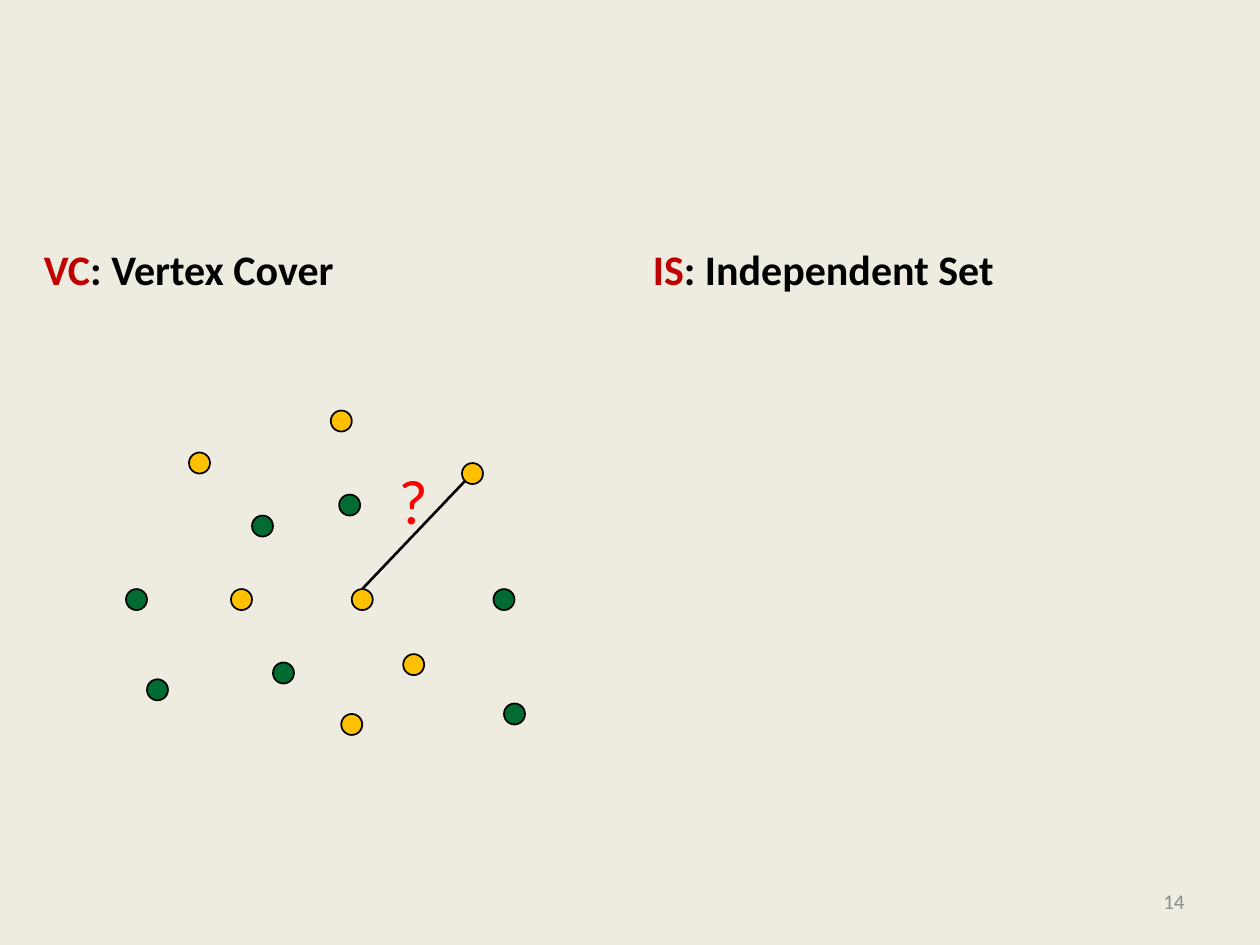
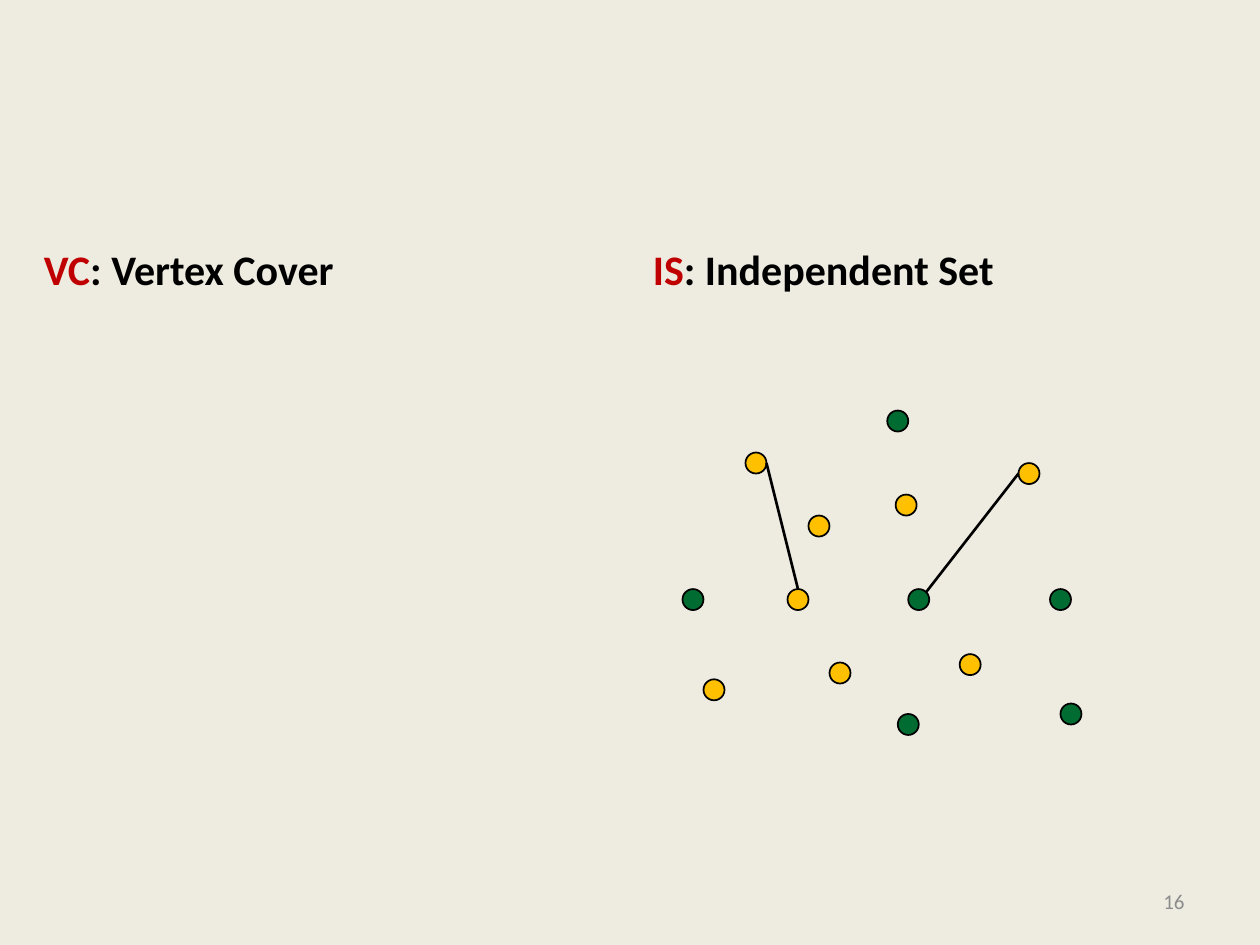
import math
from dataclasses import dataclass

import pptx
import pptx.dml.color
import pptx.enum.shapes
import pptx.enum.text
import pptx.oxml.ns
import pptx.util
from lxml import etree

Align = pptx.enum.text.PP_ALIGN
Anchor = pptx.enum.text.MSO_ANCHOR
ShapeKind = pptx.enum.shapes.MSO_SHAPE


@dataclass(frozen=True)
class Theme:
    font: str = "Calibri"
    background: str = "EEECE1"
    ink: str = "000000"
    accent: str = "C00000"
    question: str = "FF0000"
    muted: str = "8C8C8C"
    green: str = "006C31"
    yellow: str = "FFC000"
    heading_size: int = 24
    question_size: int = 36
    number_size: int = 12
    outline_width: float = 1
    edge_width: float = 1.5


# Grid: twelve columns and twelve rows to the inch
COLUMNS, ROWS = 120, 90
RADIUS = 1
SET_SHIFT = 53  # columns from the left graph to the right graph

# Node centres (column, row) of the graph in its left position
NODES = {
    "top": (32.5, 40.1),
    "upper left": (19, 44.1),
    "upper right": (45, 45.1),
    "upper middle": (33.3, 48.1),
    "inner left": (25, 50.1),
    "far left": (13, 57.1),
    "left": (23, 57.1),
    "centre": (34.5, 57.1),
    "right": (48, 57.1),
    "lower right": (39.4, 63.3),
    "lower middle": (27, 64.1),
    "lower left": (15, 65.7),
    "corner": (49, 68),
    "bottom": (33.5, 69),
}

# Directions, in degrees, in which an edge leaves a node
EAST, NORTH_EAST, NORTH, WEST, SOUTH_WEST = 0, 45, 90, 180, 225


def rgb(value):
    return pptx.dml.color.RGBColor.from_string(value)


def add_text(para, text, *, font, size, color, bold=False):
    """Append formatted text to a paragraph."""
    span = para.add_run()
    span.text = text
    span.font.name = font
    span.font.size = pptx.util.Pt(size)
    span.font.bold = bold
    span.font.color.rgb = rgb(color)


class Builder:
    def __init__(self, deck, theme):
        self.deck = deck
        self.theme = theme
        self.page = None

    def x(self, columns):
        return round(self.deck.slide_width * columns / COLUMNS)

    def y(self, rows):
        return round(self.deck.slide_height * rows / ROWS)

    def area(self, left, top, width, height):
        return self.x(left), self.y(top), self.x(width), self.y(height)

    def new_page(self, number):
        """Start a page with the shared background, headings and number."""
        theme = self.theme
        self.page = self.deck.slides.add_slide(self.deck.slide_layouts[6])
        fill = self.page.background.fill
        fill.solid()
        fill.fore_color.rgb = rgb(theme.background)
        self.heading(3, "VC", ": Vertex Cover")
        self.heading(61, "IS", ": Independent Set")
        self.text((86, 83.4, 28, 4.8), [(str(number), theme.muted)],
                  theme.number_size, align=Align.RIGHT, anchor=Anchor.MIDDLE)

    def text(self, place, parts, size, *, bold=False, wrap=True,
             align=Align.LEFT, anchor=Anchor.TOP):
        box = self.page.shapes.add_textbox(*self.area(*place))
        frame = box.text_frame
        frame.word_wrap = wrap
        frame.vertical_anchor = anchor
        para = frame.paragraphs[0]
        para.alignment = align
        for words, color in parts:
            add_text(para, words, font=self.theme.font, size=size,
                     color=color, bold=bold)

    def heading(self, left, short, name):
        self.text((left, 20.2, 53, 8.4),
                  [(short, self.theme.accent), (name, self.theme.ink)],
                  self.theme.heading_size, bold=True, anchor=Anchor.BOTTOM)

    def node(self, column, row, color):
        dot = self.page.shapes.add_shape(
            ShapeKind.OVAL,
            *self.area(column - RADIUS, row - RADIUS, 2 * RADIUS, 2 * RADIUS))
        dot.shadow.inherit = False
        dot.fill.solid()
        dot.fill.fore_color.rgb = rgb(color)
        dot.line.color.rgb = rgb(self.theme.ink)
        dot.line.width = pptx.util.Pt(self.theme.outline_width)

    def graph(self, yellow_nodes, shift=0):
        for name, (column, row) in NODES.items():
            color = self.theme.yellow if name in yellow_nodes else self.theme.green
            self.node(column + shift, row, color)

    def rim(self, name, direction, shift):
        """Point on the rim of a node, in slide units."""
        column, row = NODES[name]
        angle = math.radians(direction)
        return (self.x(column + shift + RADIUS * math.cos(angle)),
                self.y(row - RADIUS * math.sin(angle)))

    def edge(self, start, end, shift=0):
        line = self.page.shapes.add_connector(
            pptx.enum.shapes.MSO_CONNECTOR.STRAIGHT,
            *self.rim(*start, shift), *self.rim(*end, shift))
        line.line.color.rgb = rgb(self.theme.ink)
        line.line.width = pptx.util.Pt(self.theme.edge_width)
        properties = line._element.spPr
        etree.SubElement(properties, pptx.oxml.ns.qn("a:effectLst"))


def main():
    deck = pptx.Presentation()
    deck.slide_width = pptx.util.Inches(10)
    deck.slide_height = pptx.util.Inches(7.5)
    theme = Theme()
    builder = Builder(deck, theme)

    # Vertex cover: can two yellow nodes share an edge?
    builder.new_page(14)
    builder.graph({"upper left", "top", "left", "upper right", "centre",
                   "bottom", "lower right"})
    builder.edge(("upper right", SOUTH_WEST), ("centre", NORTH))
    builder.text((36.8, 43.4, 5.3, 8.5), [("?", theme.question)],
                 theme.question_size, wrap=False)

    # Independent set: edges that touch the yellow nodes
    builder.new_page(16)
    builder.graph({"upper left", "left", "upper right", "upper middle",
                   "lower left", "lower right", "inner left", "lower middle"},
                  SET_SHIFT)
    builder.edge(("upper right", WEST), ("centre", NORTH_EAST), SET_SHIFT)
    builder.edge(("left", NORTH), ("upper left", EAST), SET_SHIFT)

    deck.save("out.pptx")


if __name__ == "__main__":
    main()
